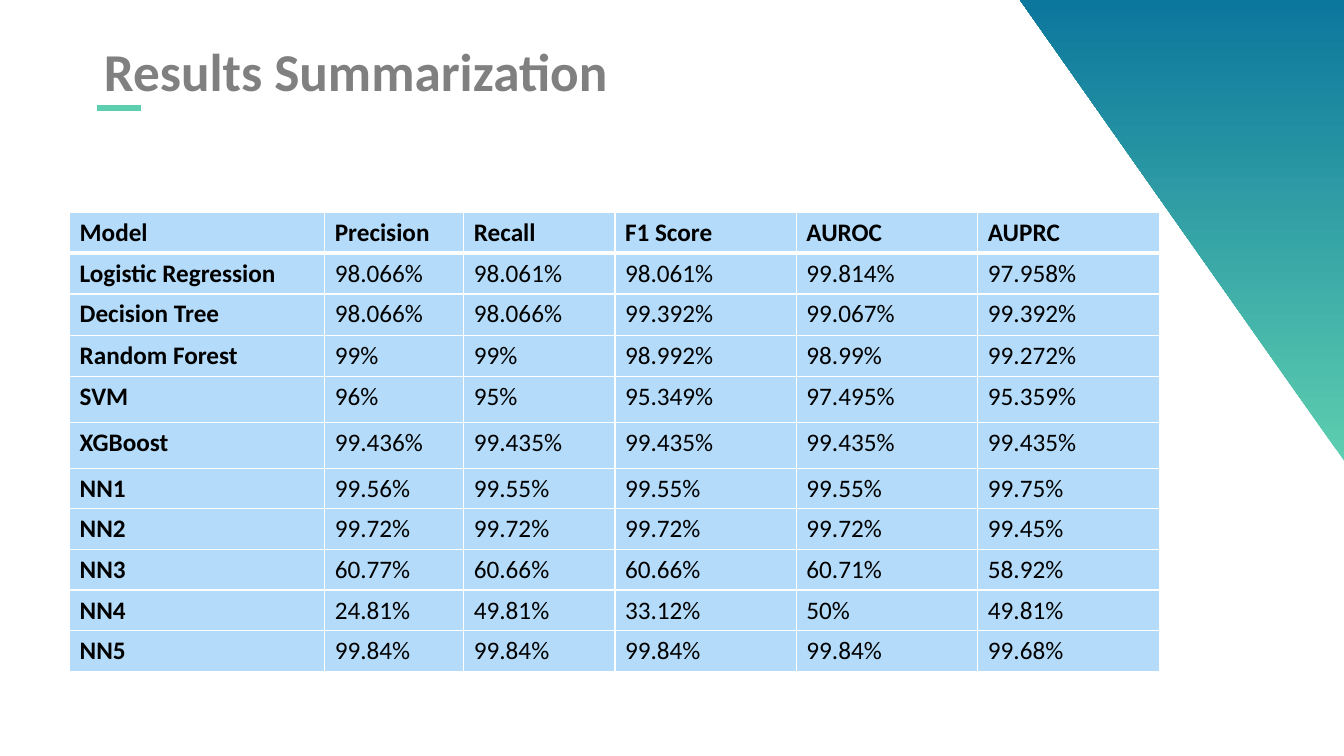
from dataclasses import dataclass

from lxml.etree import SubElement
from pptx import Presentation
from pptx.dml.color import RGBColor
from pptx.enum.shapes import MSO_CONNECTOR, MSO_SHAPE
from pptx.enum.text import MSO_ANCHOR, MSO_AUTO_SIZE, PP_ALIGN
from pptx.oxml.ns import qn
from pptx.slide import Slide
from pptx.table import _Cell
from pptx.text.text import TextFrame
from pptx.util import Inches, Length, Pt

SLIDE_WIDTH, SLIDE_HEIGHT = Inches(13.33), Inches(7.5)


@dataclass(frozen=True)
class Theme:
    font: str = "Calibri"
    title_size: float = 38
    table_size: float = 18
    title: str = "808080"
    text: str = "000000"
    cell: str = "B4DCFA"
    border: str = "FFFFFF"
    green: str = "5DCEAF"
    blue: str = "0C779D"


@dataclass(frozen=True)
class Area:
    """Left, top, width and height in percent of the slide."""
    left: float
    top: float
    width: float
    height: float

    def box(self) -> tuple[Length, Length, Length, Length]:
        return across(self.left), down(self.top), across(self.width), down(self.height)


@dataclass(frozen=True)
class ModelResult:
    model: str
    scores: tuple[str, ...]
    height: float = 5.38


THEME = Theme()
TITLE_AREA = Area(6.98, 4.4, 65.93, 9.87)
CORNER_AREA = Area(75.9, 0, 24.1, 60.93)
TITLE_RULE = Area(7.2, 14.27, 3.3, 0)
TABLE_LEFT, TABLE_TOP = 5.18, 28.13
COLUMN_WIDTHS = (18.98, 10.35, 11.25, 13.5, 13.5, 13.5)

RESULTS = (
    ModelResult("Model", ("Precision", "Recall", "F1 Score", "AUROC", "AUPRC")),
    ModelResult("Logistic Regression", ("98.066%", "98.061%", "98.061%", "99.814%", "97.958%")),
    ModelResult("Decision Tree", ("98.066%", "98.066%", "99.392%", "99.067%", "99.392%"), 5.45),
    ModelResult("Random Forest", ("99%", "99%", "98.992%", "98.99%", "99.272%"), 5.45),
    ModelResult("SVM", ("96%", "95%", "95.349%", "97.495%", "95.359%"), 6.1),
    ModelResult("XGBoost", ("99.436%", "99.435%", "99.435%", "99.435%", "99.435%"), 6.05),
    ModelResult("NN1", ("99.56%", "99.55%", "99.55%", "99.55%", "99.75%")),
    ModelResult("NN2", ("99.72%", "99.72%", "99.72%", "99.72%", "99.45%")),
    ModelResult("NN3", ("60.77%", "60.66%", "60.66%", "60.71%", "58.92%")),
    ModelResult("NN4", ("24.81%", "49.81%", "33.12%", "50%", "49.81%")),
    ModelResult("NN5", ("99.84%", "99.84%", "99.84%", "99.84%", "99.68%")),
)


def across(percent: float) -> Length:
    return Length(round(SLIDE_WIDTH * percent / 100))


def down(percent: float) -> Length:
    return Length(round(SLIDE_HEIGHT * percent / 100))


def write(frame: TextFrame, text: str, *, size: float, color: str, bold: bool) -> None:
    paragraph = frame.paragraphs[0]
    paragraph.alignment = PP_ALIGN.LEFT
    run = paragraph.add_run()
    run.text = text
    run.font.name = THEME.font
    run.font.size = Pt(size)
    run.font.bold = bold
    run.font.color.rgb = RGBColor.from_string(color)


def add_corner(slide: Slide) -> None:
    corner = slide.shapes.add_shape(MSO_SHAPE.RIGHT_TRIANGLE, *CORNER_AREA.box())
    corner.rotation = 180
    corner.shadow.inherit = False
    corner.line.fill.background()
    corner.fill.gradient()
    corner.fill.gradient_angle = 270
    for stop, color in zip(corner.fill.gradient_stops, (THEME.green, THEME.blue)):
        stop.color.rgb = RGBColor.from_string(color)


def add_title(slide: Slide, text: str) -> None:
    title = slide.shapes.title
    title.left, title.top, title.width, title.height = TITLE_AREA.box()
    frame = title.text_frame
    frame.word_wrap = True
    frame.auto_size = MSO_AUTO_SIZE.SHAPE_TO_FIT_TEXT
    frame.vertical_anchor = MSO_ANCHOR.TOP
    write(frame, text, size=THEME.title_size, color=THEME.title, bold=True)


def add_title_rule(slide: Slide) -> None:
    left, top, width, _ = TITLE_RULE.box()
    rule = slide.shapes.add_connector(MSO_CONNECTOR.STRAIGHT, left, top, left + width, top)
    rule.line.color.rgb = RGBColor.from_string(THEME.green)
    rule.line.width = Pt(4)
    SubElement(rule.line._get_or_add_ln().getparent(), qn("a:effectLst"))


def set_borders(cell: _Cell, *, top: float, bottom: float) -> None:
    """Border widths in points; the left and right sides are always thin."""
    properties = cell._tc.get_or_add_tcPr()
    for side, width in (("L", 1), ("R", 1), ("T", top), ("B", bottom)):
        border = SubElement(properties, qn(f"a:ln{side}"), w=str(Pt(width)))
        fill = SubElement(border, qn("a:solidFill"))
        SubElement(fill, qn("a:srgbClr"), val=THEME.border)


def add_results(slide: Slide) -> None:
    area = Area(TABLE_LEFT, TABLE_TOP, sum(COLUMN_WIDTHS), sum(r.height for r in RESULTS))
    table = slide.shapes.add_table(len(RESULTS), len(COLUMN_WIDTHS), *area.box()).table
    table.horz_banding = False
    for column, width in zip(table.columns, COLUMN_WIDTHS):
        column.width = across(width)
    for row_index, (row, result) in enumerate(zip(table.rows, RESULTS)):
        row.height = down(result.height)
        for column_index, text in enumerate((result.model, *result.scores)):
            cell = table.cell(row_index, column_index)
            set_borders(cell, top=3 if row_index == 1 else 1, bottom=3 if row_index == 0 else 1)
            cell.fill.solid()
            cell.fill.fore_color.rgb = RGBColor.from_string(THEME.cell)
            write(cell.text_frame, text, size=THEME.table_size, color=THEME.text,
                  bold=row_index == 0 or column_index == 0)


def main() -> None:
    presentation = Presentation()
    presentation.slide_width, presentation.slide_height = SLIDE_WIDTH, SLIDE_HEIGHT
    slide = presentation.slides.add_slide(presentation.slide_layouts.get_by_name("Title Only"))
    add_corner(slide)
    add_title(slide, "Results Summarization")
    add_title_rule(slide)
    add_results(slide)
    presentation.save("out.pptx")


if __name__ == "__main__":
    main()
